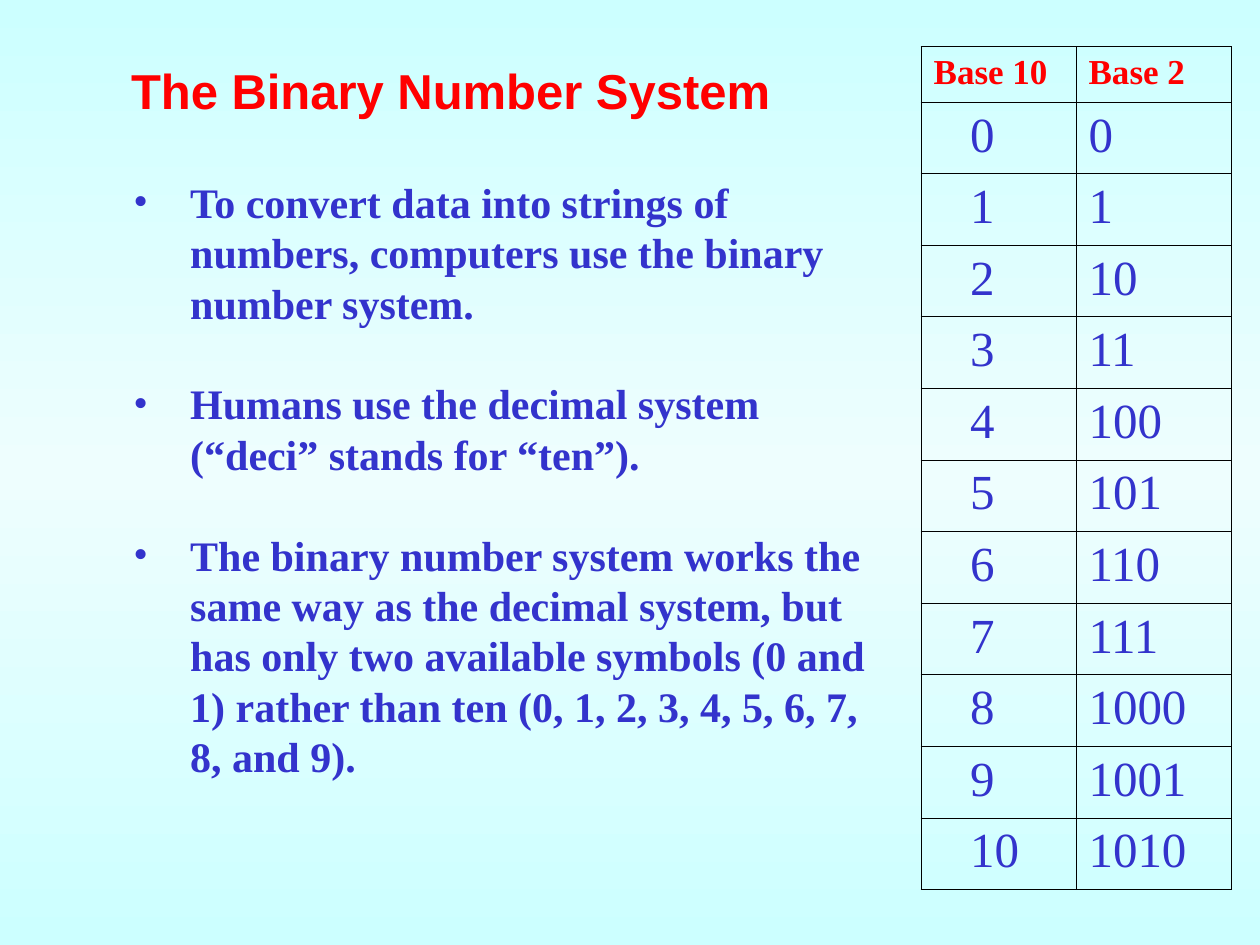
from copy import deepcopy

from lxml.etree import SubElement
from pptx import Presentation
from pptx.dml.color import RGBColor as Color
from pptx.enum.text import MSO_ANCHOR as Anchor, MSO_AUTO_SIZE as AutoSize, PP_ALIGN as Align
from pptx.oxml.ns import qn
from pptx.util import Inches, Pt

RED = Color(0xFF, 0x00, 0x00)
BLUE = Color(0x33, 0x33, 0xCC)
BLACK = Color(0x00, 0x00, 0x00)
PALE_CYAN = Color(0xCC, 0xFF, 0xFF)
NEAR_WHITE = Color(0xEE, 0xFE, 0xFE)
SERIF = "Times New Roman"
SANS = "Arial"
LINE_FACTOR = 1.2

TITLE = "The Binary Number System"
POINTS = [
    "To convert data into strings of numbers, computers use the binary number system.",
    "Humans use the decimal system (“deci” stands for “ten”).",
    "The binary number system works the same way as the decimal system, but has only two "
    "available symbols (0 and 1) rather than ten (0, 1, 2, 3, 4, 5, 6, 7, 8, and 9).",
]
HEADINGS = ["Base 10", "Base 2"]
LAST_NUMBER = 10


def write(para, text, *, size, color, font=SERIF, bold=False, line=None, before=0):
    para.alignment = Align.LEFT
    para.space_before = Pt(before)
    if line:
        para.line_spacing = Pt(line)
    span = para.add_run()
    span.text = text
    span.font.name = font
    span.font.size = Pt(size)
    span.font.bold = bold
    span.font.color.rgb = color


def set_margins(target, left, top, right, bottom):
    target.margin_left, target.margin_top = Inches(left), Inches(top)
    target.margin_right, target.margin_bottom = Inches(right), Inches(bottom)
    target.vertical_anchor = Anchor.TOP


def paint_background(page):
    fill = page.background.fill
    fill.gradient()
    fill.gradient_angle = 270
    stop_list = next(page.element.iter(qn("a:gsLst")))
    stop_list.append(deepcopy(stop_list[0]))
    colors = [PALE_CYAN, NEAR_WHITE, PALE_CYAN]
    for stop, color, position in zip(fill.gradient_stops, colors, [0, 0.5, 1]):
        stop.color.rgb = color
        stop.position = position


def place_title(page, left, top, width, height):
    title = page.shapes.title
    title.left, title.top = Inches(left), Inches(top)
    title.width, title.height = Inches(width), Inches(height)
    frame = title.text_frame
    frame.auto_size = AutoSize.NONE
    frame.word_wrap = True
    set_margins(frame, 1.04, 0.05, 0.1, 0.05)
    write(frame.paragraphs[0], TITLE, size=28, color=RED, font=SANS, bold=True,
          line=28 * LINE_FACTOR)


def add_bullet(para, color):
    properties = para._p.get_or_add_pPr()
    properties.set("marL", str(Inches(1.51)))
    properties.set("indent", str(Inches(-0.45)))
    bullet_color = SubElement(properties, qn("a:buClr"))
    SubElement(bullet_color, qn("a:srgbClr"), val=str(color))
    SubElement(properties, qn("a:buFont"), typeface=SERIF)
    SubElement(properties, qn("a:buChar"), char="•")


def place_points(page, left, top, width, height):
    box = page.shapes.add_textbox(Inches(left), Inches(top), Inches(width), Inches(height))
    frame = box.text_frame
    frame.word_wrap = True
    set_margins(frame, 0, 0.17, 0, 0.04)
    line = 24 * LINE_FACTOR
    for index, point in enumerate(POINTS):
        para = frame.add_paragraph() if index else frame.paragraphs[0]
        add_bullet(para, BLUE)
        write(para, point, size=24, color=BLUE, bold=True, line=line,
              before=line if index else 0)


def outline_cell(cell, color, points):
    properties = cell._tc.get_or_add_tcPr()
    for index, side in enumerate(["a:lnL", "a:lnR", "a:lnT", "a:lnB"]):
        border = properties.makeelement(qn(side), {"w": str(Pt(points))})
        fill = SubElement(border, qn("a:solidFill"))
        SubElement(fill, qn("a:srgbClr"), val=str(color))
        properties.insert(index, border)


def place_number_table(page, left, top, width, height, header_height=0.44):
    rows = [HEADINGS] + [[str(n), f"{n:b}"] for n in range(LAST_NUMBER + 1)]
    frame = page.shapes.add_table(len(rows), len(HEADINGS), Inches(left), Inches(top),
                                  Inches(width), Inches(height))
    table = frame.table
    table.first_row = table.horz_banding = False
    for column in table.columns:
        column.width = Inches(width / len(HEADINGS))
    row_height = (height - header_height) / (len(rows) - 1)
    for row_index, values in enumerate(rows):
        is_header = row_index == 0
        table.rows[row_index].height = Inches(header_height if is_header else row_height)
        for column_index, value in enumerate(values):
            cell = table.cell(row_index, column_index)
            is_indented = column_index == 0 and not is_header
            set_margins(cell, 0.39 if is_indented else 0.1, 0.05, 0.1, 0.05)
            cell.fill.background()
            outline_cell(cell, BLACK, 0.45)
            write(cell.text_frame.paragraphs[0], value, size=20 if is_header else 28,
                  color=RED if is_header else BLUE, bold=is_header)


def main():
    deck = Presentation()
    deck.slide_width, deck.slide_height = Inches(10), Inches(7.5)
    page = deck.slides.add_slide(deck.slide_layouts.get_by_name("Title Only"))
    paint_background(page)
    place_number_table(page, 7.31, 0.37, 2.46, 6.69)
    place_points(page, 0, 1.23, 7, 5.01)
    place_title(page, 0, 0.43, 10, 0.57)
    deck.save("out.pptx")


if __name__ == "__main__":
    main()
